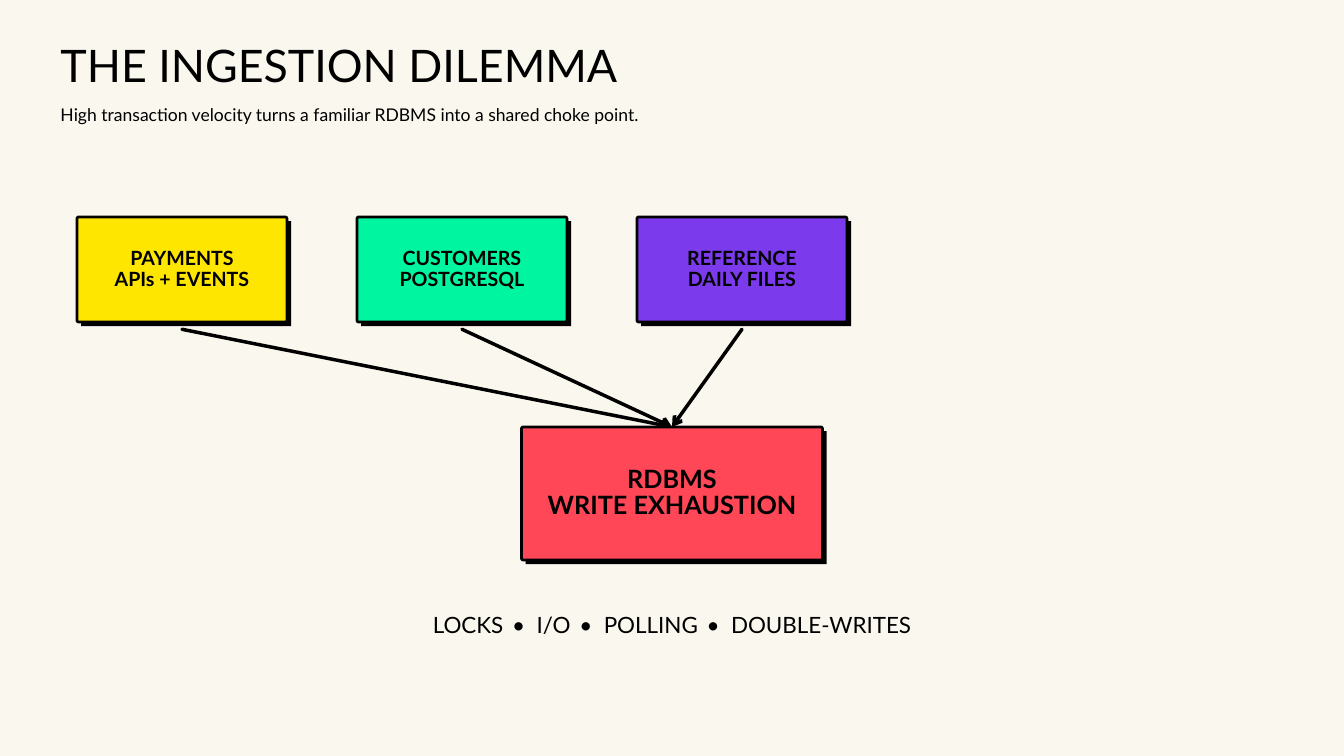
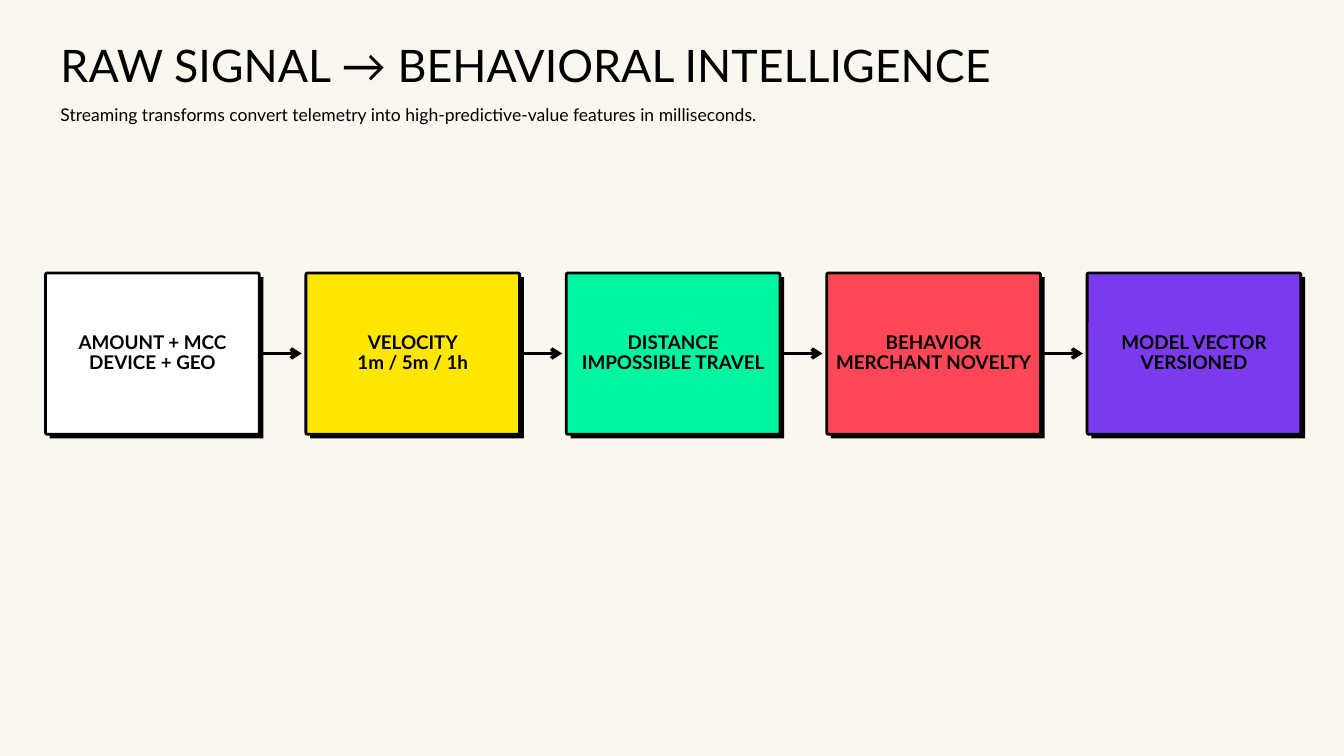
from dataclasses import dataclass

from lxml.etree import SubElement
from pptx import Presentation
from pptx.dml.color import RGBColor
from pptx.enum.shapes import MSO_CONNECTOR, MSO_SHAPE
from pptx.enum.text import MSO_ANCHOR, PP_ALIGN
from pptx.oxml.ns import qn
from pptx.util import Pt

CREAM, BLACK, WHITE = "FAF7EE", "000000", "FFFFFF"
YELLOW, GREEN, RED, PURPLE = "FFE600", "00F5A0", "FF4757", "7C3AED"
FONT = "Lato"
SHADOW = 4.5
INSET = 4.5
CORNER = 1.9


@dataclass
class TextStyle:
    size: float
    leading: float
    bold: bool = False
    align: PP_ALIGN = PP_ALIGN.LEFT


@dataclass
class Box:
    x: float
    y: float
    w: float
    h: float


@dataclass
class Card:
    lines: list[str]
    fill: str


TITLE = TextStyle(48, 47)
SUBTITLE = TextStyle(18.8, 23.4)
SOURCE_LABEL = TextStyle(21, 22.1, True, PP_ALIGN.CENTER)
STORE_LABEL = TextStyle(27, 28.4, True, PP_ALIGN.CENTER)
STAGE_LABEL = TextStyle(20.2, 21.3, True, PP_ALIGN.CENTER)
SYMPTOM = TextStyle(24, 23.5, False, PP_ALIGN.CENTER)

SOURCES = [
    Card(["PAYMENTS", "APIs + EVENTS"], YELLOW),
    Card(["CUSTOMERS", "POSTGRESQL"], GREEN),
    Card(["REFERENCE", "DAILY FILES"], PURPLE),
]
STORE = Card(["RDBMS", "WRITE EXHAUSTION"], RED)
SYMPTOMS = ["LOCKS", "I/O", "POLLING", "DOUBLE-WRITES"]
STAGES = [
    Card(["AMOUNT + MCC", "DEVICE + GEO"], WHITE),
    Card(["VELOCITY", "1m / 5m / 1h"], YELLOW),
    Card(["DISTANCE", "IMPOSSIBLE TRAVEL"], GREEN),
    Card(["BEHAVIOR", "MERCHANT NOVELTY"], RED),
    Card(["MODEL VECTOR", "VERSIONED"], PURPLE),
]


def color(value: str) -> RGBColor:
    return RGBColor.from_string(value)


def set_all(target, values: dict) -> None:
    for name, value in values.items():
        setattr(target, name, value)


def add_run(p, text: str, style: TextStyle):
    r = p.add_run()
    r.text = text
    set_all(r.font, {"name": FONT, "size": Pt(style.size), "bold": style.bold})
    r.font.color.rgb = color(BLACK)
    return r


def format_frame(tf, inset: float, wrap: bool, anchor: MSO_ANCHOR) -> None:
    sides = ("margin_left", "margin_top", "margin_right", "margin_bottom")
    set_all(tf, dict.fromkeys(sides, Pt(inset)))
    set_all(tf, {"word_wrap": wrap, "vertical_anchor": anchor})


def write_lines(tf, lines: list[str], style: TextStyle) -> None:
    for i, line in enumerate(lines):
        p = tf.add_paragraph() if i else tf.paragraphs[0]
        set_all(p, {"alignment": style.align, "line_spacing": Pt(style.leading)})
        if line:
            add_run(p, line, style)


def add_text(s, box: Box, text: str, style: TextStyle):
    sp = s.shapes.add_textbox(Pt(box.x), Pt(box.y), Pt(box.w), Pt(box.h))
    tf = sp.text_frame
    format_frame(tf, 0, True, MSO_ANCHOR.TOP)
    write_lines(tf, [text], style)
    return tf.paragraphs[0]


def add_panel(s, kind: MSO_SHAPE, box: Box, fill: str):
    sp = s.shapes.add_shape(kind, Pt(box.x), Pt(box.y), Pt(box.w), Pt(box.h))
    sp.shadow.inherit = False
    sp.fill.solid()
    sp.fill.fore_color.rgb = color(fill)
    return sp


def add_card(s, box: Box, card: Card, style: TextStyle) -> None:
    under = Box(box.x + SHADOW, box.y + SHADOW, box.w, box.h)
    add_panel(s, MSO_SHAPE.RECTANGLE, under, BLACK).line.fill.background()
    sp = add_panel(s, MSO_SHAPE.ROUNDED_RECTANGLE, box, card.fill)
    sp.adjustments[0] = CORNER / min(box.w, box.h)
    sp.line.color.rgb = color(BLACK)
    sp.line.width = Pt(3)
    format_frame(sp.text_frame, INSET, False, MSO_ANCHOR.MIDDLE)
    write_lines(sp.text_frame, card.lines, style)


def add_arrow(s, x1: float, y1: float, x2: float, y2: float) -> None:
    cx = s.shapes.add_connector(MSO_CONNECTOR.STRAIGHT, Pt(x1), Pt(y1), Pt(x2), Pt(y2))
    cx.line.color.rgb = color(BLACK)
    cx.line.width = Pt(3.75)
    ln = cx.line._get_or_add_ln()
    ln.set("cap", "rnd")
    SubElement(ln, qn("a:round"))
    SubElement(ln, qn("a:tailEnd"), type="arrow")
    SubElement(cx._element.spPr, qn("a:effectLst"))


def add_slide(prs, title: str, subtitle: str):
    s = prs.slides.add_slide(prs.slide_layouts[6])
    s.background.fill.solid()
    s.background.fill.fore_color.rgb = color(CREAM)
    add_text(s, Box(64.8, 51, 1311, 49.7), title, TITLE)
    add_text(s, Box(64.8, 110.2, 1087, 26), subtitle, SUBTITLE)
    return s


def add_symptoms(s) -> None:
    p = add_text(s, Box(322.5, 660.2, 795, 24.5), "", SYMPTOM)
    for i, symptom in enumerate(SYMPTOMS):
        if i:
            dot = add_run(p, " • ", SYMPTOM)
            dot.font._element.set("spc", "310")
        add_run(p, symptom, SYMPTOM)


def build_dilemma(prs) -> None:
    s = add_slide(
        prs,
        "THE INGESTION DILEMMA",
        "High transaction velocity turns a familiar RDBMS into a shared choke point.",
    )
    store = Box(558.75, 457.5, 322.5, 142.5)
    for i, source in enumerate(SOURCES):
        box = Box(82.5 + 300 * i, 232.5, 225, 112.5)
        add_card(s, box, source, SOURCE_LABEL)
        add_arrow(s, box.x + box.w / 2, box.y + box.h + 7.8, store.x + store.w / 2, store.y)
    add_card(s, store, STORE, STORE_LABEL)
    add_symptoms(s)


def build_signal(prs) -> None:
    s = add_slide(
        prs,
        "RAW SIGNAL → BEHAVIORAL INTELLIGENCE",
        "Streaming transforms convert telemetry into high-predictive-value features in milliseconds.",
    )
    for i, stage in enumerate(STAGES):
        box = Box(48.75 + 279 * i, 292.5, 229, 172.8)
        add_card(s, box, stage, STAGE_LABEL)
        if i < len(STAGES) - 1:
            start = box.x + box.w + SHADOW
            add_arrow(s, start, 378.75, start + 41, 378.75)


def main() -> None:
    prs = Presentation()
    set_all(prs, {"slide_width": Pt(1440), "slide_height": Pt(810)})
    build_dilemma(prs)
    build_signal(prs)
    prs.save("out.pptx")


if __name__ == "__main__":
    main()
